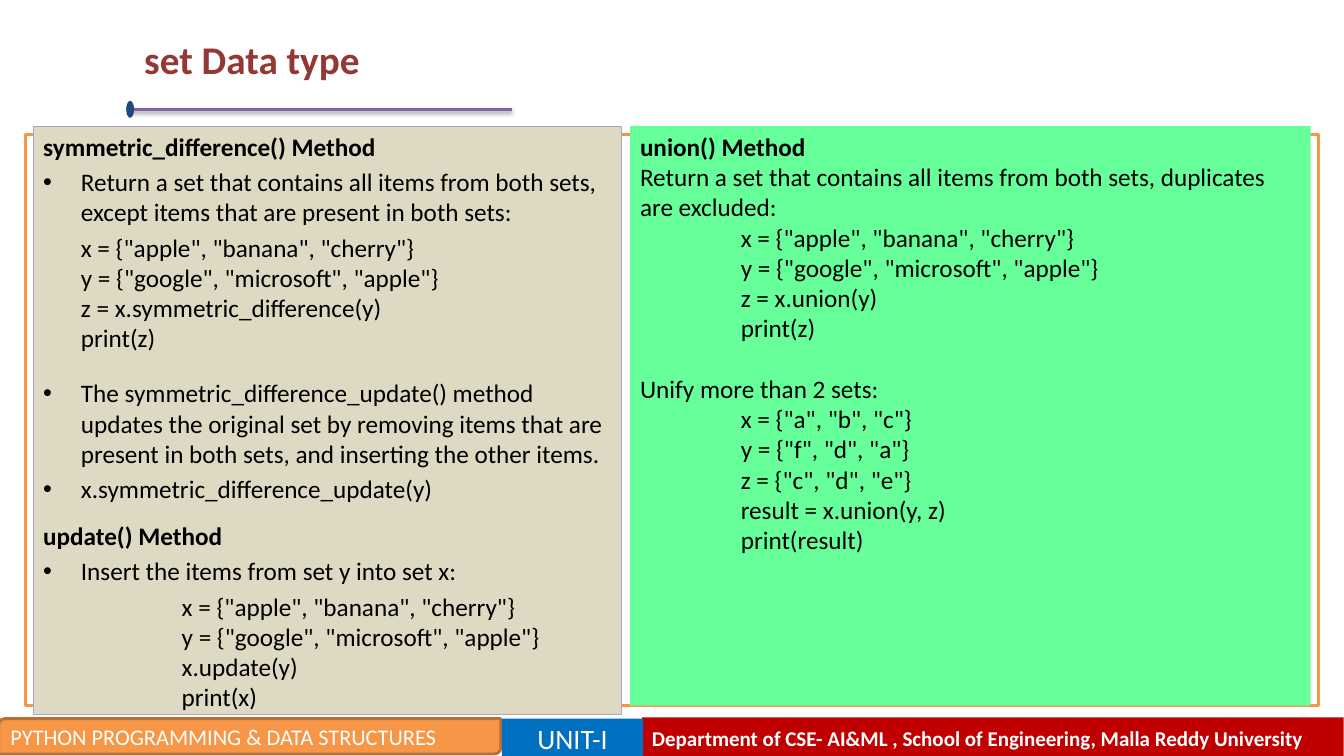
"""Build the slide on set methods in Python."""
from dataclasses import dataclass
from lxml.etree import SubElement
from pptx import Presentation
from pptx.dml.color import RGBColor
from pptx.enum.shapes import MSO_CONNECTOR, MSO_SHAPE
from pptx.enum.text import MSO_ANCHOR, PP_ALIGN
from pptx.oxml.ns import qn
from pptx.util import Cm, Pt


@dataclass(frozen=True)
class Theme:
    """Colours, font and type sizes of the slide."""
    font: str = "Calibri"
    title: str = "953735"
    ink: str = "000000"
    white: str = "FFFFFF"
    sand: str = "DDD9C3"
    lilac: str = "B3A2C7"
    mint: str = "66FF99"
    orange: str = "F79646"
    brown: str = "B76F34"
    red: str = "C00000"
    blue: str = "0070C0"
    navy: str = "1F497D"
    purple: str = "8064A2"
    head: int = 28
    unit: int = 20
    body: int = 18
    course: int = 16
    dept: int = 15


class Page:
    """Holds the theme and the current slide."""

    def __init__(self, deck, theme):
        """Add a title-only slide."""
        self.theme = theme
        self.slide = deck.slides.add_slide(deck.slide_layouts[5])

    def style(self, para, size, color, bold=False):
        """Set the font of a paragraph."""
        font = para.font
        font.name, font.size, font.bold = self.theme.font, Pt(size), bold
        font.color.rgb = RGBColor.from_string(color)

    def title(self, text, box):
        """Fill and place the title."""
        shape = self.slide.shapes.title
        shape.left, shape.top, shape.width, shape.height = map(Cm, box)
        shape.text_frame.text = text
        shape.text_frame.vertical_anchor = MSO_ANCHOR.MIDDLE
        para = shape.text_frame.paragraphs[0]
        para.alignment = PP_ALIGN.LEFT
        self.style(para, self.theme.head, self.theme.title, True)

    def shape(self, box, fill=None, line=None, width=2, kind=MSO_SHAPE.RECTANGLE):
        """Add a plain shape."""
        shape = self.slide.shapes.add_shape(kind, *map(Cm, box))
        shape.shadow.inherit = False
        if fill:
            shape.fill.solid()
            shape.fill.fore_color.rgb = RGBColor.from_string(fill)
        else:
            shape.fill.background()
        if line:
            shape.line.color.rgb = RGBColor.from_string(line)
            shape.line.width = Pt(width)
        else:
            shape.line.fill.background()
        return shape

    def label(self, shape, text, size, bold=False, align=PP_ALIGN.LEFT):
        """Write one white line in a shape."""
        frame = shape.text_frame
        frame.word_wrap = True
        frame.vertical_anchor = MSO_ANCHOR.MIDDLE
        para = frame.paragraphs[0]
        para.text, para.alignment = text, align
        self.style(para, size, self.theme.white, bold)

    def rule(self, left, right, top):
        """Draw the shaded line under the title."""
        line = self.slide.shapes.add_connector(
            MSO_CONNECTOR.STRAIGHT, Cm(left), Cm(top), Cm(right), Cm(top))
        line.line.color.rgb = RGBColor.from_string(self.theme.purple)
        line.line.width = Pt(2)
        effects = SubElement(line._element.spPr, qn("a:effectLst"))
        shade = SubElement(effects, qn("a:outerShdw"), blurRad=str(Pt(3.1)),
                           dist=str(Pt(1.6)), dir="5400000", rotWithShape="0")
        color = SubElement(shade, qn("a:srgbClr"), val=self.theme.ink)
        SubElement(color, qn("a:alpha"), val="38000")

    def panel(self, shape, rows):
        """Write rows of text, kind, indent and space before."""
        frame = shape.text_frame
        frame.word_wrap = True
        frame.vertical_anchor = MSO_ANCHOR.TOP
        for index, (text, kind, indent, gap) in enumerate(rows):
            para = frame.add_paragraph() if index else frame.paragraphs[0]
            para.text, para.alignment = text, PP_ALIGN.LEFT
            para.space_before = Pt(gap)
            props = para._p.get_or_add_pPr()
            props.set("marL", str(Cm(indent)))
            if kind == "item":
                props.set("indent", str(-Cm(indent)))
                SubElement(props, qn("a:buFont"), typeface="Arial")
                SubElement(props, qn("a:buChar"), char="•")
            self.style(para, self.theme.body, self.theme.ink, kind == "head")


STEP, TAB, GAP = 0.95, 2.54, 3.6
FRUIT = 'x = {"apple", "banana", "cherry"}\vy = {"google", "microsoft", "apple"}\v'
LEFT = [
    ("symmetric_difference() Method", "head", 0, 0),
    ("Return a set that contains all items from both sets, except items that "
     "are present in both sets:", "item", STEP, GAP),
    (FRUIT + "z = x.symmetric_difference(y)\vprint(z)", "code", STEP, GAP),
    ("The symmetric_difference_update() method updates the original set by "
     "removing items that are present in both sets, and inserting the other "
     "items.", "item", STEP, 17.7),
    ("x.symmetric_difference_update(y)", "item", STEP, GAP),
    ("update() Method", "head", 0, 12),
    ("Insert the items from set y into set x:", "item", STEP, GAP),
    (FRUIT + "x.update(y)\vprint(x)", "code", STEP + TAB, GAP),
]
RIGHT = [
    ("union() Method", "head", 0, 0),
    ("Return a set that contains all items from both sets, duplicates are "
     "excluded:", "text", 0, 0),
    (FRUIT + "z = x.union(y)\vprint(z)", "code", TAB, 0),
    ("Unify more than 2 sets:", "text", 0, 21.8),
    ('x = {"a", "b", "c"}\vy = {"f", "d", "a"}\vz = {"c", "d", "e"}\v'
     "result = x.union(y, z)\vprint(result)", "code", TAB, 0),
]


def main():
    """Build and save the slide."""
    deck = Presentation()
    deck.slide_width, deck.slide_height = Cm(33.87), Cm(19.05)
    theme = Theme()
    page = Page(deck, theme)

    dept = page.shape((16.18, 18.08, 17.68, 1.02), theme.red)
    page.label(dept, "Department of CSE- AI&ML , School of Engineering, "
               "Malla Reddy University", theme.dept, True)
    course = page.shape((-0.03, 18.11, 12.65, 0.89), theme.orange, theme.brown,
                        kind=MSO_SHAPE.ROUND_2_DIAG_RECTANGLE)
    page.label(course, "PYTHON PROGRAMMING & DATA STRUCTURES", theme.course)
    unit = page.shape((12.65, 18.11, 3.56, 0.97), theme.blue)
    page.label(unit, "UNIT-I", theme.unit, align=PP_ALIGN.CENTER)

    page.title("set Data type", (3.38, 0.64, 16.08, 1.7))
    page.rule(3.28, 12.9, 2.75)
    page.shape((3.18, 2.54, 0.2, 0.43), theme.navy, kind=MSO_SHAPE.OVAL)

    page.shape((0.64, 3.38, 32.59, 14.4), line=theme.orange)
    left = page.shape((0.84, 3.18, 14.82, 14.82), theme.sand, theme.lilac, 0.75)
    page.panel(left, LEFT)
    right = page.shape((15.88, 3.18, 17.15, 14.6), theme.mint)
    page.panel(right, RIGHT)
    deck.save("out.pptx")


if __name__ == "__main__":
    main()
